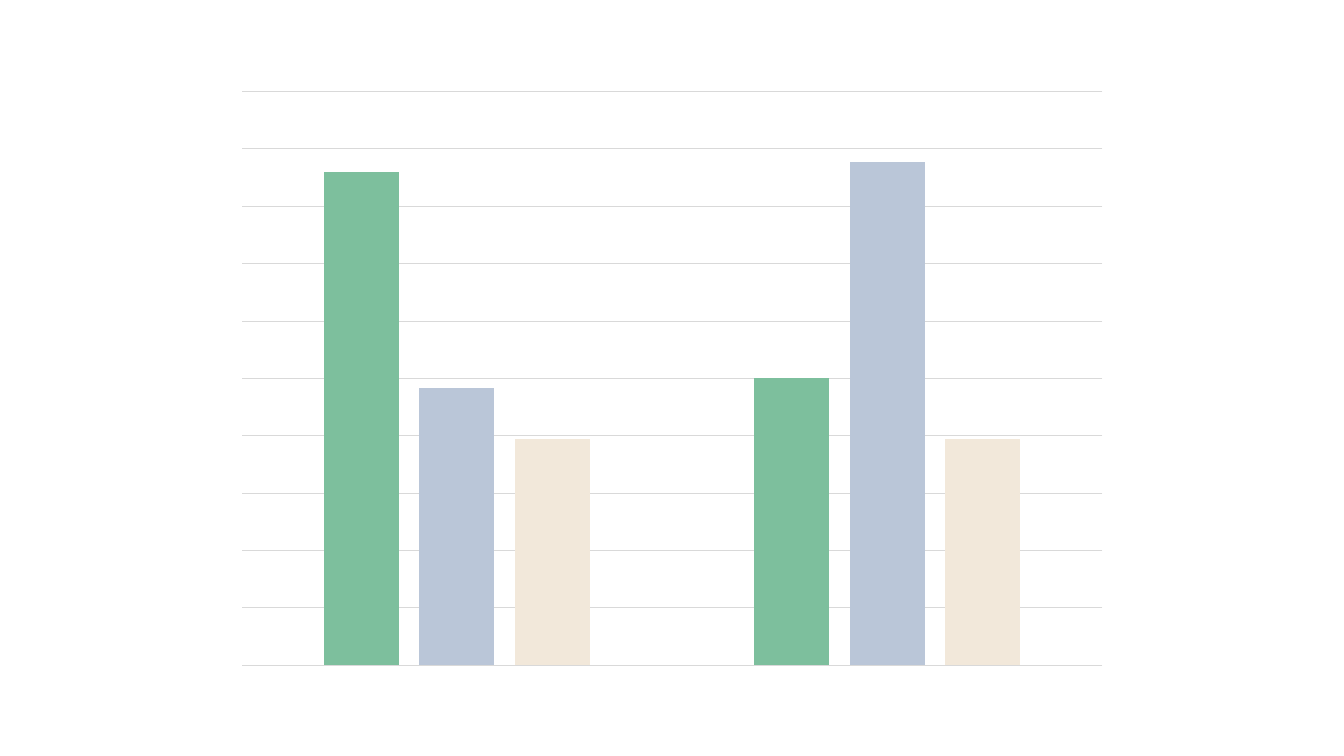
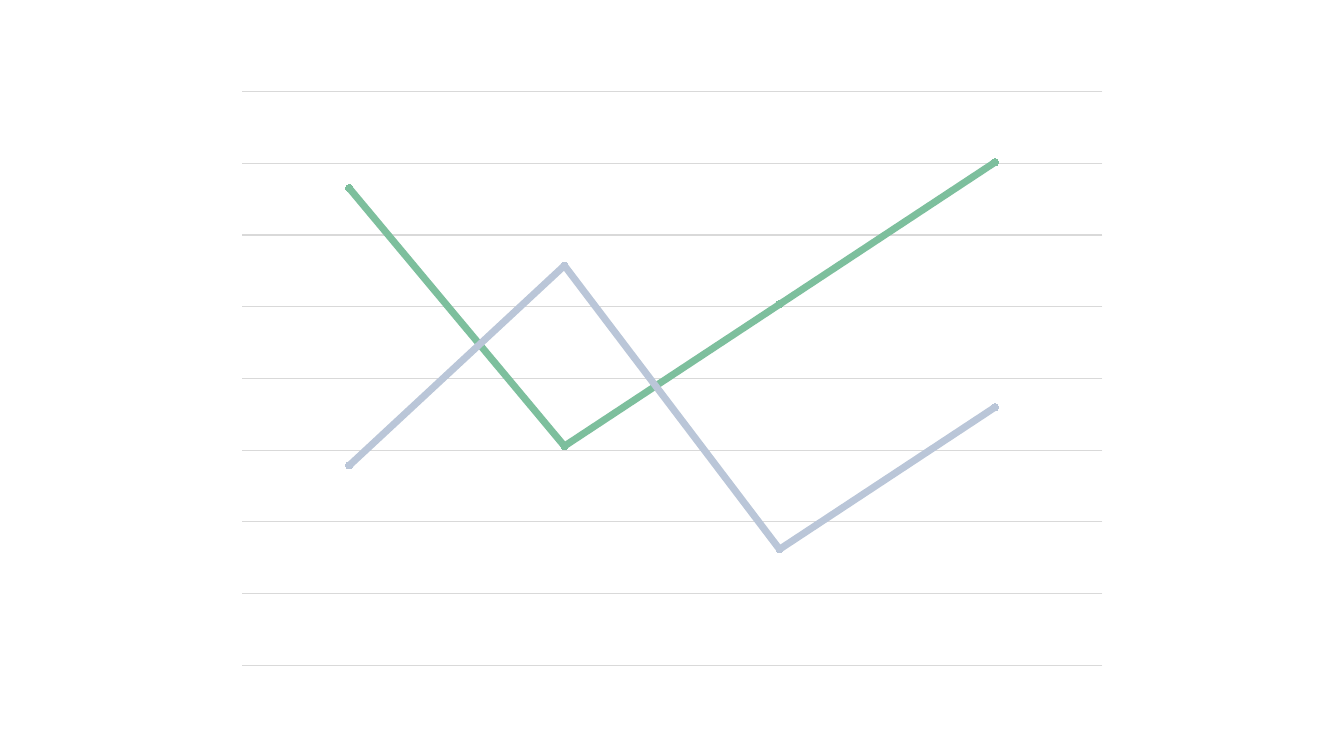
import pptx
import pptx.util
import pptx.chart.data
import pptx.dml.color
import pptx.enum.chart

Inches = pptx.util.Inches
Pt = pptx.util.Pt
RGBColor = pptx.dml.color.RGBColor
ChartType = pptx.enum.chart.XL_CHART_TYPE

GREEN = RGBColor(0x7D, 0xBF, 0x9D)
BLUE = RGBColor(0xBA, 0xC6, 0xD8)
SAND = RGBColor(0xF2, 0xE8, 0xDA)
GRID = RGBColor(0xD9, 0xD9, 0xD9)
BLACK = RGBColor(0x00, 0x00, 0x00)
SERIES_COLORS = [GREEN, BLUE, SAND]

presentation = pptx.Presentation()
presentation.slide_width = Inches(13.33)
presentation.slide_height = Inches(7.5)
blank_layout = presentation.slide_layouts[6]


def add_plain_chart(chart_type, rows, minimum, maximum, steps):
    slide = presentation.slides.add_slide(blank_layout)
    chart_data = pptx.chart.data.CategoryChartData()
    chart_data.categories = [str(number + 1) for number in range(len(rows[0]))]
    for number, values in enumerate(rows, 1):
        chart_data.add_series(f"Series {number}", values)
    chart = slide.shapes.add_chart(
        chart_type, Inches(2.22), Inches(0.79), Inches(8.89), Inches(5.93), chart_data
    ).chart
    chart.has_title = False
    chart.has_legend = False
    chart.font.name = "Calibri"
    chart.font.size = Pt(10)
    chart.font.color.rgb = BLACK
    chart.category_axis.visible = False
    value_axis = chart.value_axis
    value_axis.visible = False
    value_axis.minimum_scale = minimum
    value_axis.maximum_scale = maximum
    value_axis.major_unit = (maximum - minimum) / steps
    value_axis.has_major_gridlines = True
    gridline = value_axis.major_gridlines.format.line
    gridline.color.rgb = GRID
    gridline.width = Pt(0.75)
    plot = chart.plots[0]
    plot.vary_by_categories = False
    return plot


columns = add_plain_chart(
    ChartType.COLUMN_CLUSTERED, [(98, 57), (55, 100), (45, 45)], 0, 114, 10
)
columns.gap_width = 219
columns.overlap = -27
for series, color in zip(columns.series, SERIES_COLORS):
    series.format.fill.solid()
    series.format.fill.fore_color.rgb = color
    series.format.line.fill.background()

lines = add_plain_chart(
    ChartType.LINE_MARKERS, [(96, 56, 78, 100), (53, 84, 40, 62)], 22, 111, 8
)
for series, color in zip(lines.series, SERIES_COLORS):
    series.smooth = False
    series.format.line.color.rgb = color
    series.format.line.width = Pt(5)
    series.marker.style = pptx.enum.chart.XL_MARKER_STYLE.CIRCLE
    series.marker.size = 5
    series.marker.format.fill.solid()
    series.marker.format.fill.fore_color.rgb = color
    series.marker.format.line.color.rgb = color

presentation.save("out.pptx")
